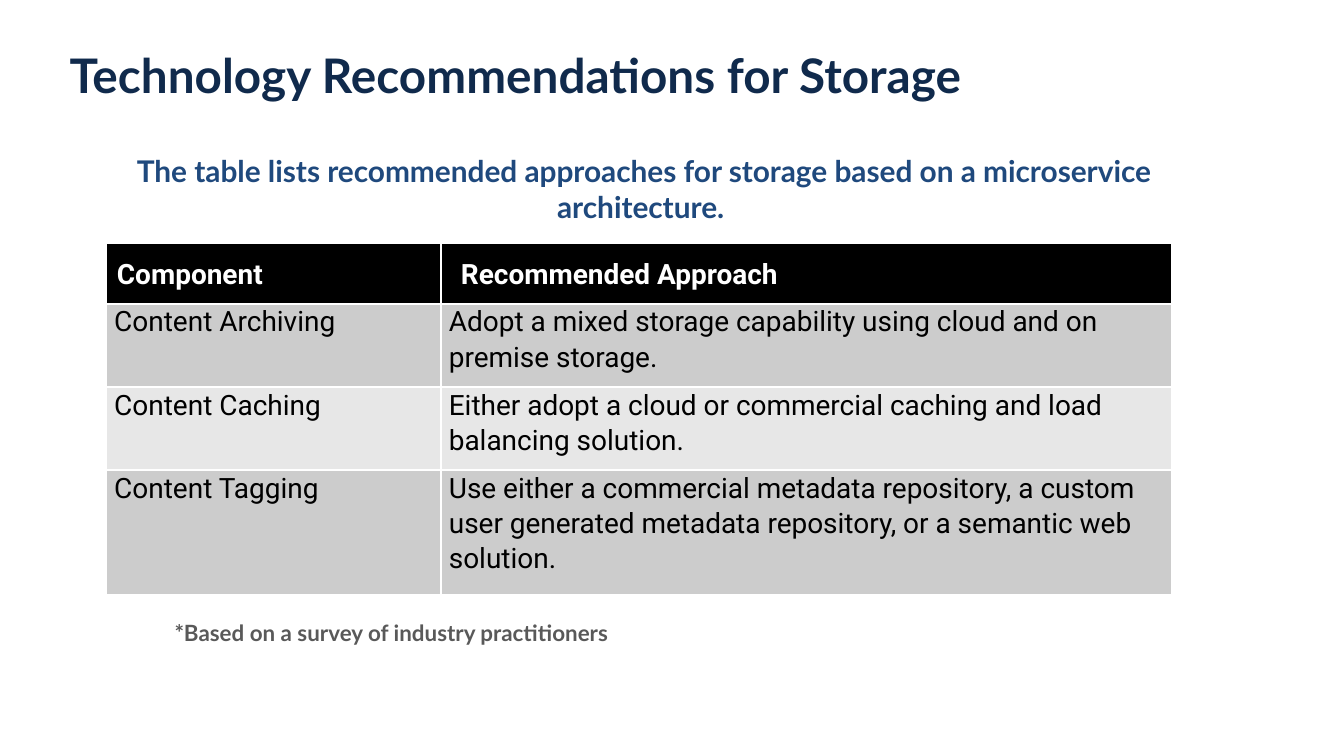
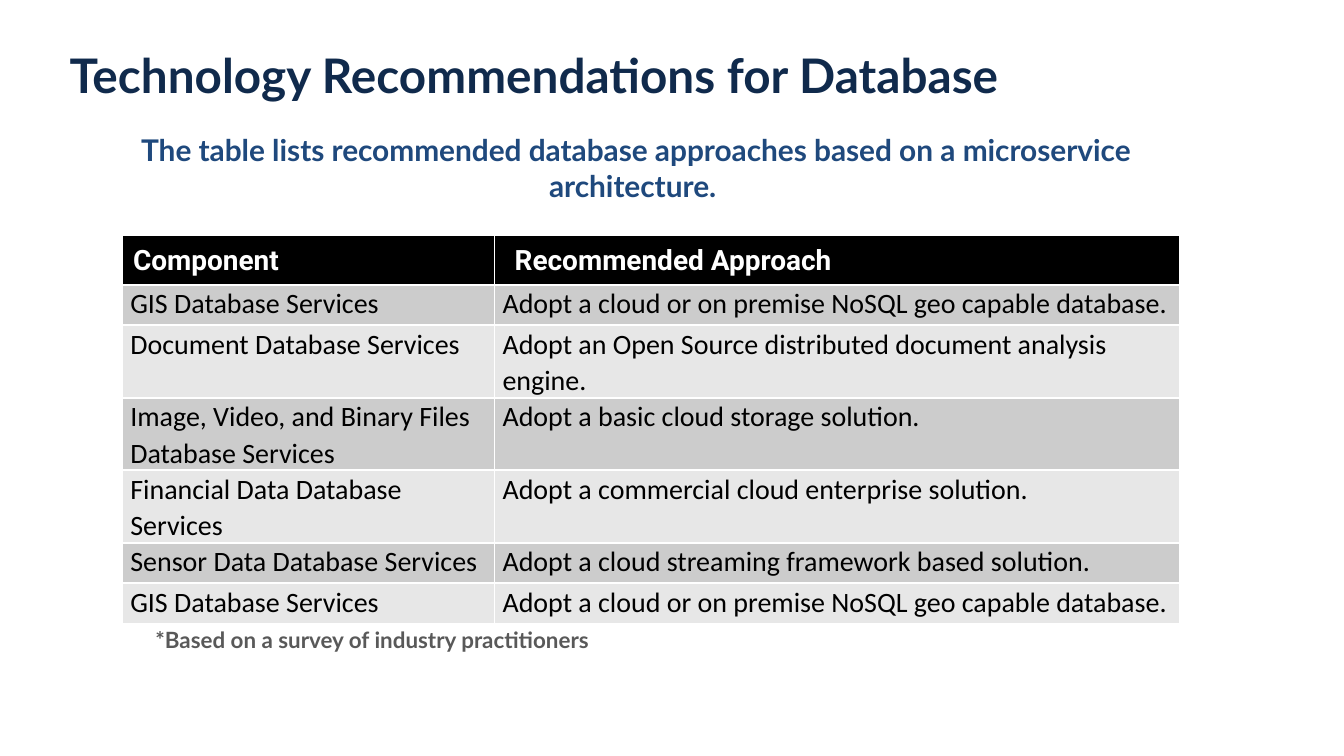
"""Builds two slides of technology recommendations, each with a table."""
from dataclasses import dataclass

from lxml import etree
from pptx import Presentation
from pptx.dml.color import RGBColor
from pptx.enum.text import MSO_ANCHOR, MSO_AUTO_SIZE, PP_ALIGN
from pptx.oxml.ns import qn
from pptx.util import Inches, Pt

LEFT, CENTER = PP_ALIGN.LEFT, PP_ALIGN.CENTER
TOP, MIDDLE = MSO_ANCHOR.TOP, MSO_ANCHOR.MIDDLE
GROW, FIXED = MSO_AUTO_SIZE.SHAPE_TO_FIT_TEXT, MSO_AUTO_SIZE.NONE


@dataclass(frozen=True)
class Style:
    font: str
    size: float
    color: str
    bold: bool = False


@dataclass(frozen=True)
class Theme:
    title: Style = Style("Lato", 25.5, "102A4C", True)
    lead: Style = Style("Lato", 16, "1F497D", True)
    note: Style = Style("Lato", 12, "595959", True)
    head: Style = Style("Roboto", 15, "FFFFFF", True)
    head_fill: str = "000000"
    bands: tuple[str, str] = ("CCCCCC", "E7E7E7")
    rule: str = "FFFFFF"
    ink: str = "000000"
    body_size: float = 15
    leading: float = 1.07


@dataclass(frozen=True)
class Box:
    left: float
    top: float
    width: float
    height: float


@dataclass(frozen=True)
class Grid:
    left: float
    top: float
    cols: tuple[float, ...]
    heights: tuple[float, ...]
    font: str
    rows: tuple[tuple[str, str], ...]


@dataclass(frozen=True)
class Page:
    topic: str
    lead: str
    lead_box: Box
    grid: Grid
    note_box: Box
    note_align: PP_ALIGN


THEME = Theme()
TITLE_BOX = Box(0.42, 0.29, 9.14, 0.43)
NOTE = "*Based on a survey of industry practitioners"
HEADS = ("Component", "Recommended Approach")
GEO = ("GIS Database Services", "Adopt a cloud or on premise NoSQL geo capable database.")

PAGES = (
    Page(
        "Storage",
        "The table lists recommended approaches for storage based on a microservice architecture. ",
        Box(0.61, 1.09, 8.37, 0.64),
        Grid(0.79, 1.81, (2.49, 5.44), (0.45, 0.62, 0.62, 0.93), "Roboto", (
            ("Content Archiving",
             "Adopt a mixed storage capability using cloud and on premise storage."),
            ("Content Caching",
             "Either adopt a cloud or commercial caching and load balancing solution."),
            ("Content Tagging",
             "Use either a commercial metadata repository, a custom user generated "
             "metadata repository, or a semantic web solution."),
        )),
        Box(1.2, 4.56, 3.72, 0.3), LEFT,
    ),
    Page(
        "Database",
        "The table lists recommended database approaches based on a microservice architecture. ",
        Box(0.55, 0.93, 8.37, 0.64),
        Grid(0.91, 1.75, (2.77, 5.1), (0.37, 0.3, 0.54, 0.54, 0.54, 0.3, 0.3), "Calibri", (
            GEO,
            ("Document Database Services",
             "Adopt an Open Source distributed document analysis engine."),
            ("Image, Video, and Binary Files Database Services",
             "Adopt a basic cloud storage solution."),
            ("Financial Data Database Services",
             "Adopt a commercial cloud enterprise solution."),
            ("Sensor Data Database Services",
             "Adopt a cloud streaming framework based solution."),
            GEO,
        )),
        Box(0.91, 4.61, 3.72, 0.3), CENTER,
    ),
)


def paint(para, style: Style) -> None:
    """Format every run of a paragraph."""
    for run in para.runs:
        font = run.font
        font.name, font.size, font.bold = style.font, Pt(style.size), style.bold
        font.color.rgb = RGBColor.from_string(style.color)


def add_text(slide, box: Box, text: str, style: Style, align: PP_ALIGN = LEFT,
             wrap: bool = True, fit: MSO_AUTO_SIZE = GROW) -> None:
    """Place one paragraph of styled text in a box."""
    shape = slide.shapes.add_textbox(
        Inches(box.left), Inches(box.top), Inches(box.width), Inches(box.height))
    frame = shape.text_frame
    frame.word_wrap, frame.auto_size = wrap, fit
    frame.text = text
    para = frame.paragraphs[0]
    para.alignment = align
    paint(para, style)


def add_rules(cell) -> None:
    """Draw the four borders of a cell."""
    props = cell._tc.get_or_add_tcPr()
    for side in "LRTB":
        line = etree.SubElement(props, qn(f"a:ln{side}"), w=str(Pt(1)))
        fill = etree.SubElement(line, qn("a:solidFill"))
        etree.SubElement(fill, qn("a:srgbClr"), val=THEME.rule)


def fill_cell(cell, text: str, style: Style, fill: str, pads: tuple[float, float],
              anchor: MSO_ANCHOR = TOP) -> None:
    """Set the text, margins, borders and fill of a cell."""
    cell.text_frame.text = text
    cell.margin_left, cell.margin_right = map(Inches, pads)
    cell.margin_top = cell.margin_bottom = 0
    cell.vertical_anchor = anchor
    add_rules(cell)
    cell.fill.solid()
    cell.fill.fore_color.rgb = RGBColor.from_string(fill)
    para = cell.text_frame.paragraphs[0]
    para.line_spacing = THEME.leading
    paint(para, style)


def add_grid(slide, grid: Grid) -> None:
    """Draw the table with its head and banded rows."""
    table = slide.shapes.add_table(
        len(grid.heights), len(grid.cols), Inches(grid.left), Inches(grid.top),
        Inches(sum(grid.cols)), Inches(sum(grid.heights))).table
    table.horz_banding = False
    for col, width in zip(table.columns, grid.cols):
        col.width = Inches(width)
    for row, height in zip(table.rows, grid.heights):
        row.height = Inches(height)
    for col, (text, pad) in enumerate(zip(HEADS, (0.01, 0.15))):
        fill_cell(table.cell(0, col), text, THEME.head, THEME.head_fill,
                  (pad, 0.01), MIDDLE)
    first = table.cell(0, 0).text_frame.paragraphs[0]._p.get_or_add_pPr()
    first.set("marL", "0")
    first.set("indent", str(Inches(0.07)))
    body = Style(grid.font, THEME.body_size, THEME.ink)
    for row, texts in enumerate(grid.rows):
        for col, text in enumerate(texts):
            fill_cell(table.cell(row + 1, col), text, body, THEME.bands[row % 2],
                      (0.06, 0.06))


def add_page(deck, page: Page) -> None:
    """Build one slide."""
    slide = deck.slides.add_slide(deck.slide_layouts[6])
    add_grid(slide, page.grid)
    add_text(slide, TITLE_BOX, f"Technology Recommendations for {page.topic}",
             THEME.title, fit=FIXED)
    add_text(slide, page.lead_box, page.lead, THEME.lead, CENTER)
    add_text(slide, page.note_box, NOTE, THEME.note, page.note_align, wrap=False)


def main() -> None:
    """Build and save the deck."""
    deck = Presentation()
    deck.slide_width = Inches(10)
    deck.slide_height = deck.slide_width * 9 // 16
    for page in PAGES:
        add_page(deck, page)
    deck.save("out.pptx")


if __name__ == "__main__":
    main()
